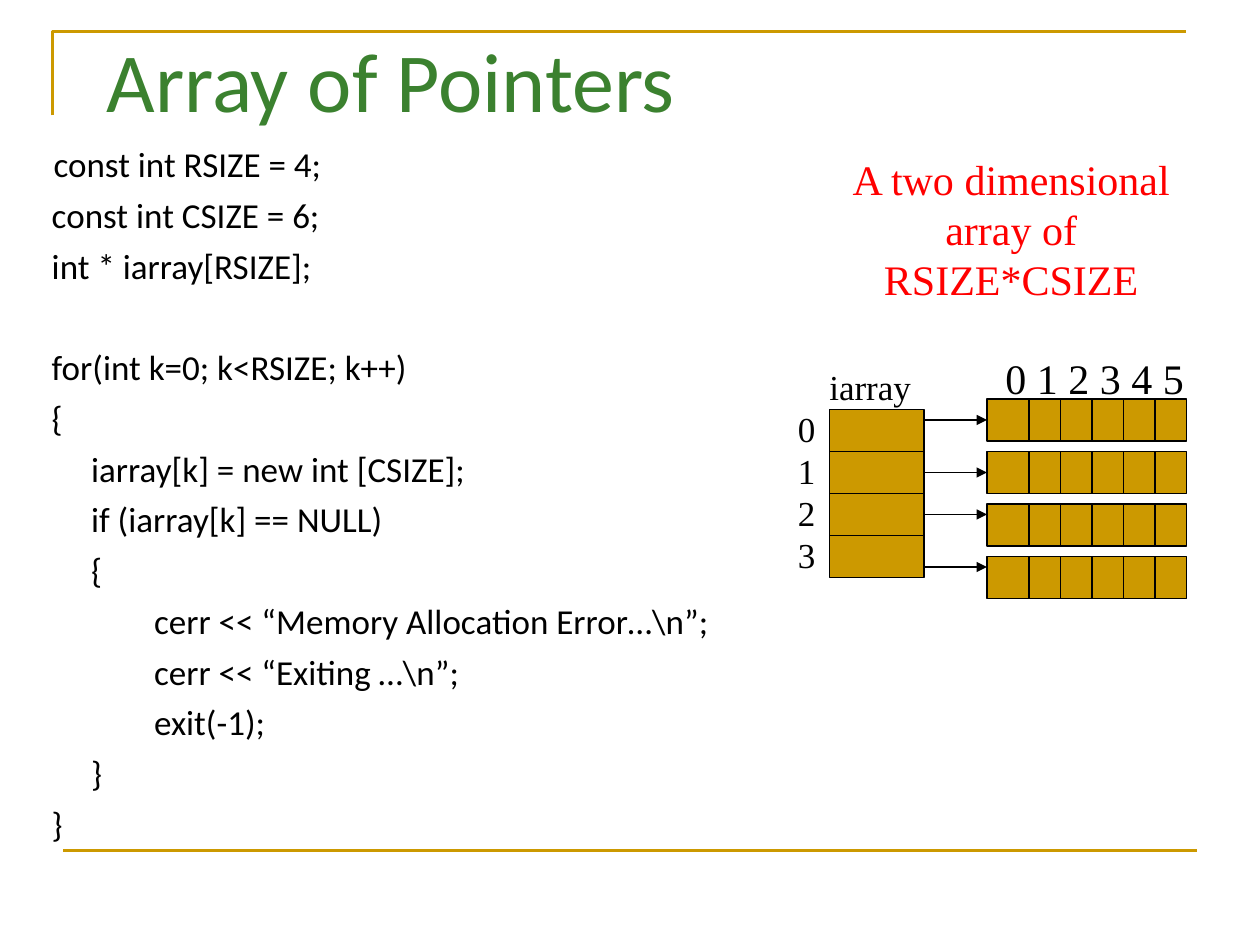
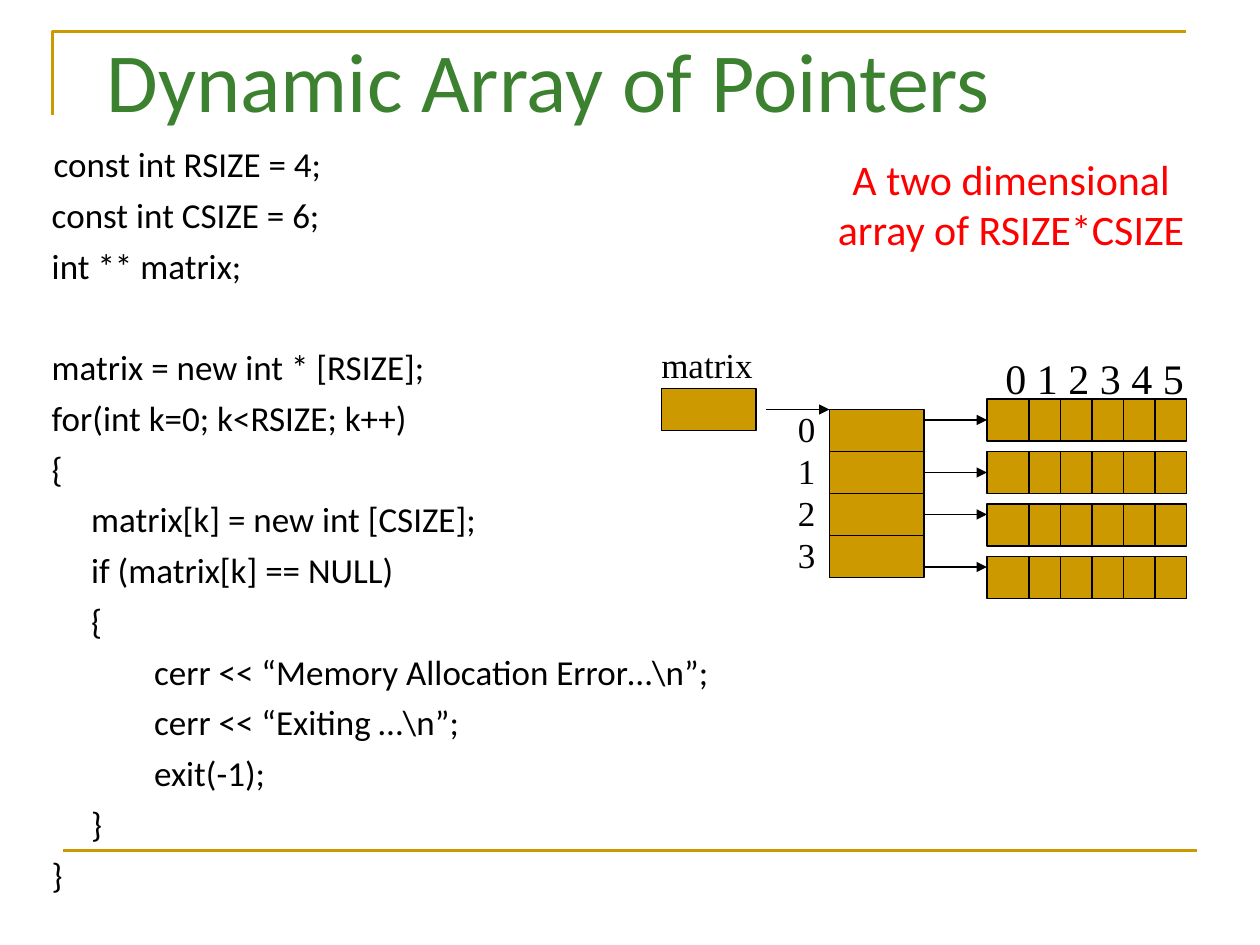
import pptx
import pptx.util
import pptx.dml.color
import pptx.enum.shapes
import pptx.enum.text
import pptx.oxml
import pptx.oxml.ns

Pt = pptx.util.Pt
ALIGN = pptx.enum.text.PP_ALIGN
GOLD, GREEN, RED, BLACK = "CC9900", "3B812F", "FF0000", "000000"
SANS, SERIF, FIRST_SPACE_FONT = "Calibri", "Times New Roman", "Arial"
TITLE_BOX = (54, 24, 612, 60)
CODE_BOX = (18, 78, 438, 462)
NOTE_BOX = (468, 84, 219.6, 94)
DIAGRAM_BOX = (474, 228, 204, 114)
MATRIX_BOX = (378, 222, 54, 24)
CELL_HEIGHT = 24
ROW_COUNT, COLUMN_COUNT = 4, 6
ROW_PITCH, COLUMN_PITCH = 30, 18
POINTER_WIDTH, ROW_LEFT, ROW_WIDTH = 54, 90, 114
POINTER_TOP = 6
ARROW_OFFSETS = (12, 42, 66, 96)
LINE_GAP, BLOCK_GAP = 5, 34
CODE_INDENT, CODE_TAB = 27, 99

ALLOCATION = """\tif ({0}[k] == NULL)
\t{{
\t\tcerr << “Memory Allocation Error…\\n”;
\t\tcerr << “Exiting …\\n”;
\t\texit(-1);
\t}}
 }}"""
LOOP = " for(int k=0; k<RSIZE; k++)\n {{\n\t{0}[k] = new int [CSIZE];\n" + ALLOCATION
SIZES = "const int RSIZE = 4;\n const int CSIZE = 6;\n"
ARRAY_CODE = [SIZES + " int * iarray[RSIZE];", LOOP.format("iarray")]
MATRIX_CODE = [
    SIZES + " int ** matrix;",
    " matrix = new int * [RSIZE];\n" + LOOP.format("matrix"),
]


def colour(code):
    """Turn a hex string into a colour."""
    return pptx.dml.color.RGBColor.from_string(code)


def add_span(para, text, font, size, code=BLACK):
    """Add one styled run to a paragraph."""
    span = para.add_run()
    span.text = text
    span.font.name = font
    span.font.size = Pt(size)
    span.font.color.rgb = colour(code)


def add_frame(page, box):
    """Add an empty wrapping text box and return its frame."""
    frame = page.shapes.add_textbox(*map(Pt, box)).text_frame
    frame.word_wrap = True
    return frame


def add_label(page, box, lines, size=20):
    """Add unwrapped serif lines beside the diagram."""
    frame = add_frame(page, box)
    frame.word_wrap = False
    frame.auto_size = pptx.enum.text.MSO_AUTO_SIZE.SHAPE_TO_FIT_TEXT
    for number, line in enumerate(lines):
        para = frame.add_paragraph() if number else frame.paragraphs[0]
        add_span(para, line, SERIF, size)


def add_line(page, start, end, code=BLACK, width=0.75, arrow=False):
    """Draw a straight line, with an arrowhead if asked."""
    line = page.shapes.add_connector(
        pptx.enum.shapes.MSO_CONNECTOR.STRAIGHT, *map(Pt, (*start, *end)))
    line.line.color.rgb = colour(code)
    line.line.width = Pt(width)
    properties = line.element.spPr
    if arrow:
        head = pptx.oxml.parse_xml(
            f'<a:tailEnd {pptx.oxml.ns.nsdecls("a")} type="triangle"/>')
        line.line._get_or_add_ln().append(head)
    properties.append(pptx.oxml.parse_xml(
        f'<a:effectLst {pptx.oxml.ns.nsdecls("a")}/>'))


def add_cell_block(page, box):
    """Draw a gold memory block with a thin black edge."""
    block = page.shapes.add_shape(
        pptx.enum.shapes.MSO_SHAPE.RECTANGLE, *map(Pt, box))
    block.shadow.inherit = False
    block.fill.solid()
    block.fill.fore_color.rgb = colour(GOLD)
    block.line.color.rgb = colour(BLACK)
    block.line.width = Pt(0.75)


def add_rules(page):
    """Draw the gold corner above and the gold line below."""
    builder = page.shapes.build_freeform(Pt(30), Pt(66))
    builder.add_line_segments([(Pt(30), Pt(18)), (Pt(678), Pt(18))], close=False)
    corner = builder.convert_to_shape()
    corner.shadow.inherit = False
    corner.fill.background()
    corner.line.color.rgb = colour(GOLD)
    corner.line.width = Pt(1.5)
    add_line(page, (36, 486), (684, 486), GOLD, 1.5)


def add_title(page, box, text):
    """Write the green slide title."""
    para = add_frame(page, box).paragraphs[0]
    para.line_spacing = 0.8
    add_span(para, text, SANS, 48, GREEN)


def add_code(page, box, blocks):
    """Write blocks of code with hanging indents and a tab stop."""
    frame = add_frame(page, box)
    for block_number, block in enumerate(blocks):
        for line_number, line in enumerate(block.split("\n")):
            first = block_number == line_number == 0
            para = frame.paragraphs[0] if first else frame.add_paragraph()
            properties = para._p.get_or_add_pPr()
            properties.set("marL", str(Pt(CODE_INDENT)))
            properties.set("indent", str(-Pt(CODE_INDENT)))
            properties.append(pptx.oxml.parse_xml(
                f'<a:tabLst {pptx.oxml.ns.nsdecls("a")}>'
                f'<a:tab pos="{Pt(CODE_INDENT)}" algn="l"/>'
                f'<a:tab pos="{Pt(CODE_TAB)}" algn="l"/></a:tabLst>'))
            if first:
                add_span(para, " ", FIRST_SPACE_FONT, 20)
            else:
                para.space_before = Pt(LINE_GAP if line_number else BLOCK_GAP)
            add_span(para, line, SANS, 20)


def add_note(page, box, font):
    """Write the red remark about the array size."""
    para = add_frame(page, box).paragraphs[0]
    para.alignment = ALIGN.CENTER
    add_span(para, "A two dimensional array of RSIZE*CSIZE", font, 24, RED)


def add_diagram(page, box):
    """Draw the pointer column, its arrows and the rows they lead to."""
    left, top, width, height = box
    pointer_top = top + POINTER_TOP
    pointer_right = left + POINTER_WIDTH
    row_left = left + ROW_LEFT
    add_cell_block(page, (left, pointer_top, POINTER_WIDTH, ROW_COUNT * CELL_HEIGHT))
    for number in range(1, ROW_COUNT):
        y = pointer_top + number * CELL_HEIGHT
        add_line(page, (left, y), (pointer_right, y))
    for number, offset in enumerate(ARROW_OFFSETS):
        row_top = top + number * ROW_PITCH
        add_cell_block(page, (row_left, row_top, ROW_WIDTH, CELL_HEIGHT))
        for column in range(1, COLUMN_COUNT):
            x = left + width - column * COLUMN_PITCH
            add_line(page, (x, row_top), (x, row_top + CELL_HEIGHT))
        add_line(page, (pointer_right, top + offset), (row_left, top + offset), arrow=True)
    add_label(page, (left - 25.2, top + 1.3, 24.5, 103.7), map(str, range(ROW_COUNT)))
    columns = " ".join(map(str, range(COLUMN_COUNT)))
    add_label(page, (row_left + 3.4, top - 30, 117, 36), [columns], 24)


def add_matrix_pointer(page, box):
    """Draw the matrix variable and its arrow to the pointer column."""
    left, top, width, height = box
    add_cell_block(page, box)
    add_label(page, (left - 7.2, top - 29, 67, 31.7), ["matrix"])
    add_line(page, (left + 60, top + 12), (left + 96, top + 12), arrow=True)


def add_page(deck, title, code, note_font):
    """Build one slide with its title, code, remark and diagram."""
    page = deck.slides.add_slide(deck.slide_layouts[6])
    add_rules(page)
    add_title(page, TITLE_BOX, title)
    add_code(page, CODE_BOX, code)
    add_note(page, NOTE_BOX, note_font)
    add_diagram(page, DIAGRAM_BOX)
    return page


def main():
    """Build and save the deck."""
    deck = pptx.Presentation()
    deck.slide_width, deck.slide_height = Pt(720), Pt(540)
    page = add_page(deck, "Array of Pointers", ARRAY_CODE, SERIF)
    add_label(page, (466.8, 205.2, 61.2, 31.7), ["iarray"])
    page = add_page(deck, "Dynamic Array of Pointers", MATRIX_CODE, SANS)
    add_matrix_pointer(page, MATRIX_BOX)
    deck.save("out.pptx")


if __name__ == "__main__":
    main()
